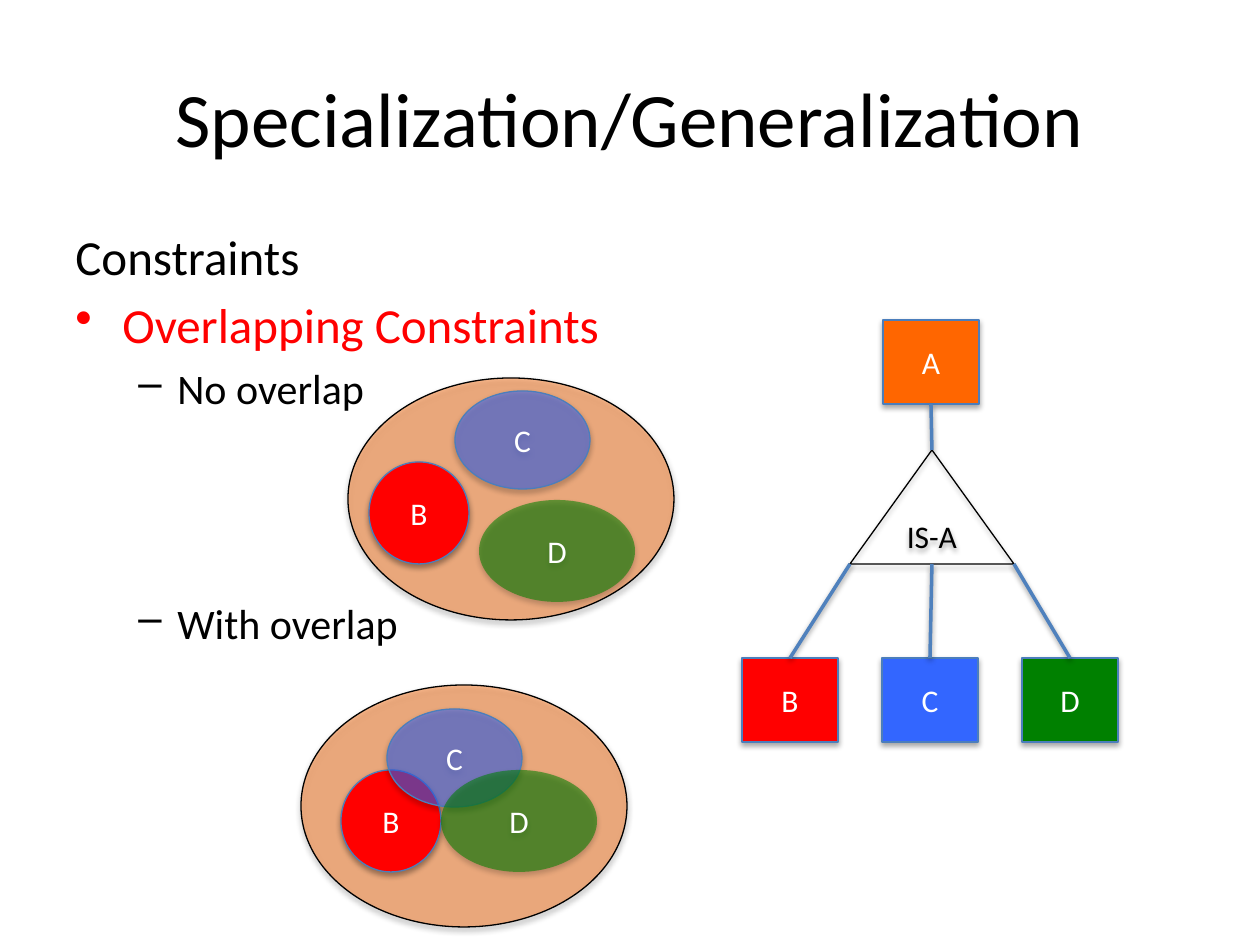
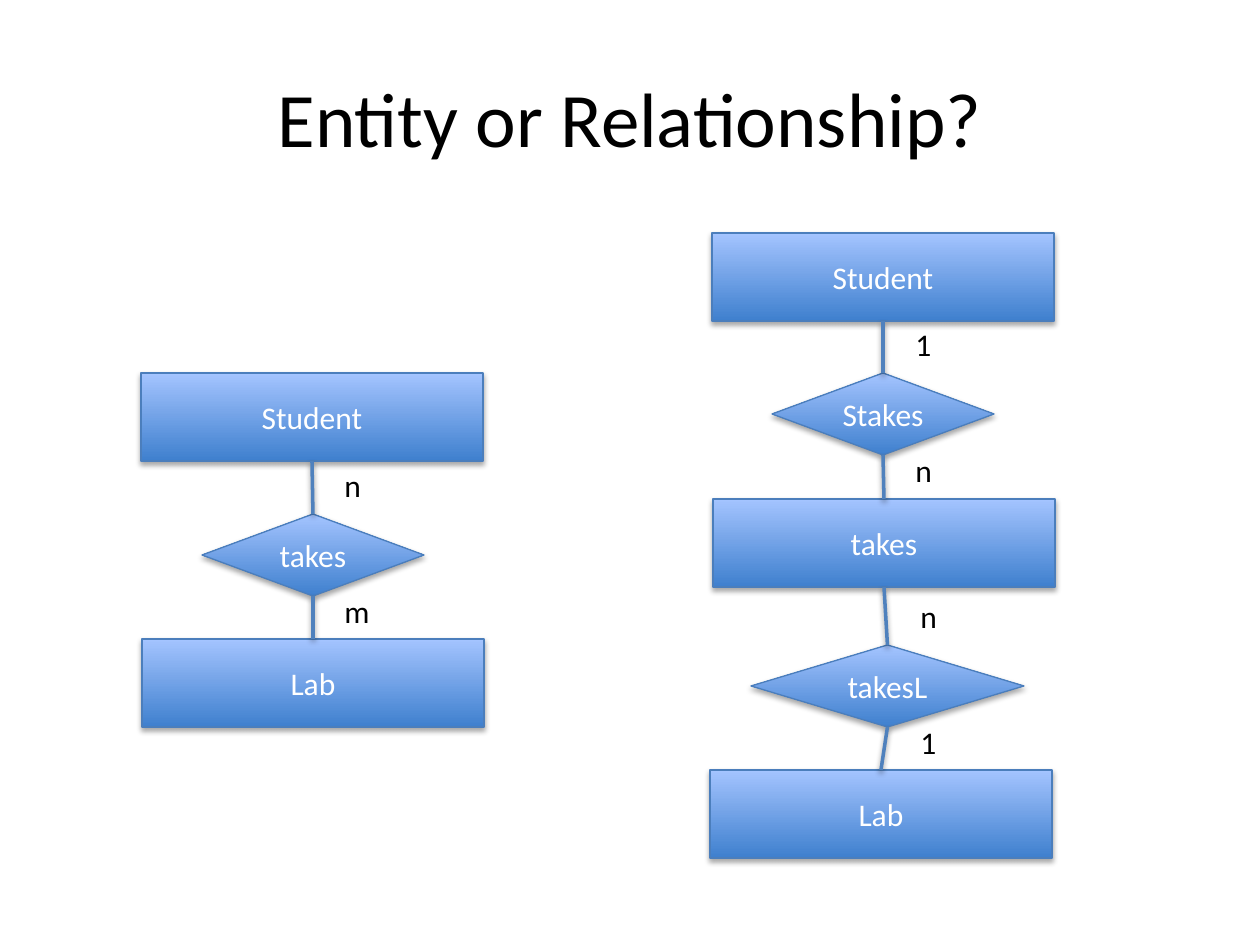
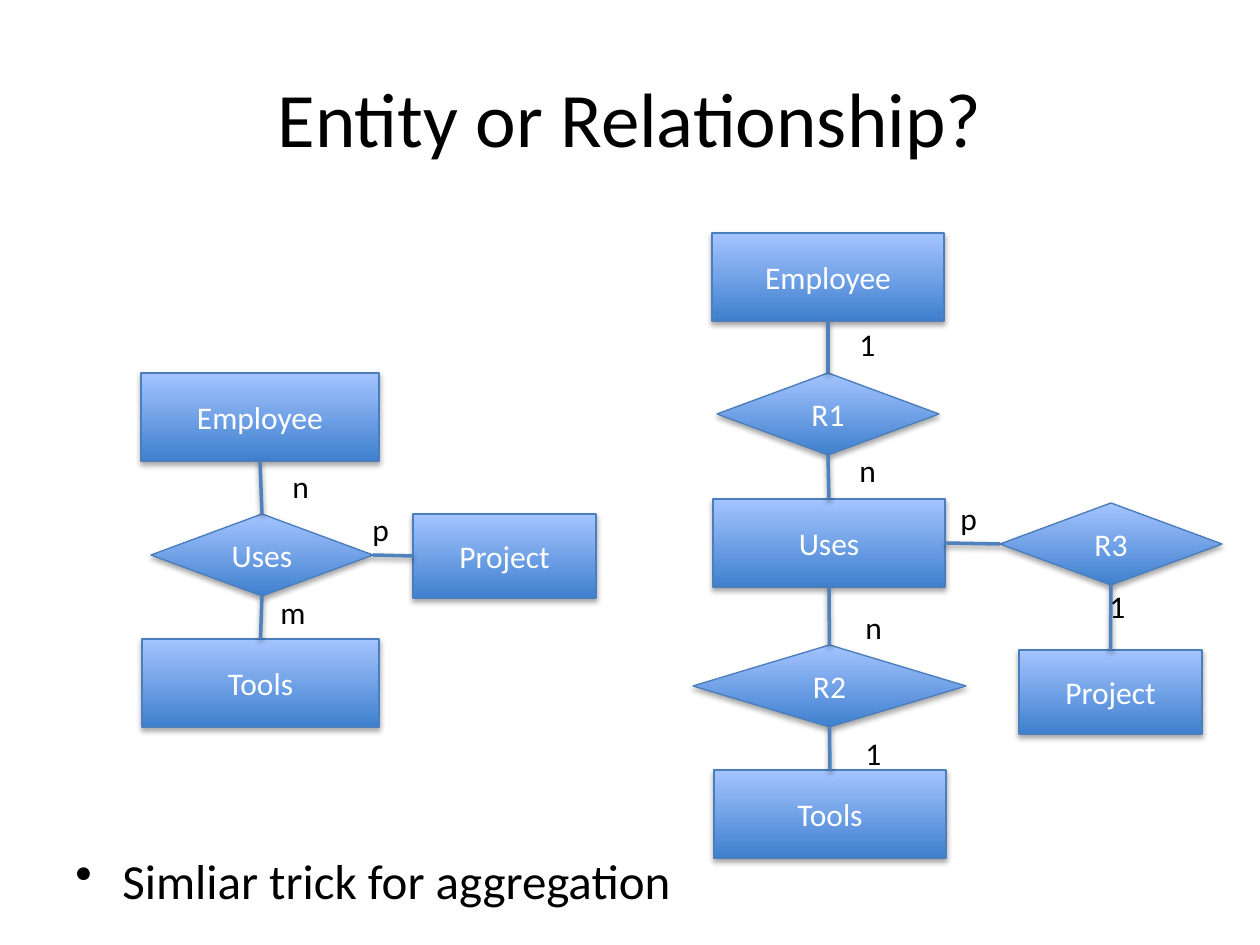
from dataclasses import dataclass
from itertools import pairwise

from lxml import etree
from pptx import Presentation
from pptx import util as u
from pptx.dml.color import RGBColor
from pptx.enum import shapes, text
from pptx.oxml import ns

KIND = shapes.MSO_SHAPE
TOP, LEFT, BOTTOM, RIGHT = range(4)


@dataclass(frozen=True)
class Theme:
    """Hold the colours, font and type sizes of the deck."""
    font: str = "Calibri"
    title: int = 44
    body: int = 28
    detail: int = 24
    label: int = 18
    ink: str = "000000"
    paper: str = "FFFFFF"
    accent: str = "FF0000"
    border: str = "4B7EBC"
    link: str = "4F81BD"
    gradient: tuple = ("3F80CE", "A4C4FF")
    orange: str = "FF6600"
    red: str = "FF0000"
    blue: str = "3366FF"
    green: str = "008000"


THEME = Theme()


def px(length):
    """Turn px into EMU."""
    return u.Emu(round(length * 914400 / 126))


def rgb(code):
    """Turn a hex code into a colour."""
    return RGBColor.from_string(code)


def element(parent, tag, **attributes):
    """Add a drawing element to a parent."""
    names = {key: str(value) for key, value in attributes.items()}
    return etree.SubElement(parent, ns.qn(tag), names)


def add_shadow(item, distance, opacity):
    """Give a shape or connector a soft shadow below it."""
    effects = element(item._element.spPr, "a:effectLst")
    shadow = element(effects, "a:outerShdw", blurRad=40000, dist=distance,
                     dir=5400000, rotWithShape=0)
    colour = element(shadow, "a:srgbClr", val=THEME.ink)
    element(colour, "a:alpha", val=opacity * 1000)


def add_text(para, words, size=THEME.label, color=THEME.ink, align=None,
             bullet=None, margin=0, hanging=0, before=0):
    """Write formatted words into a paragraph."""
    if bullet:
        settings = para._p.get_or_add_pPr()
        settings.set("marL", str(px(margin)))
        settings.set("indent", str(-px(hanging)))
        element(settings, "a:buChar", char=bullet)
    para.alignment = align
    para.space_before = u.Pt(before)
    span = para.add_run()
    span.text = words
    span.font.name = THEME.font
    span.font.size = u.Pt(size)
    span.font.color.rgb = rgb(color)


def add_box(page, x, y, width, height, lines, anchor=text.MSO_ANCHOR.TOP):
    """Add a wrapping text box with one paragraph per line."""
    box = page.shapes.add_textbox(px(x), px(y), px(width), px(height))
    frame = box.text_frame
    frame.word_wrap = True
    frame.vertical_anchor = anchor
    for index, (words, style) in enumerate(lines):
        para = frame.add_paragraph() if index else frame.paragraphs[0]
        add_text(para, words, **style)


def add_labels(page, labels):
    """Add small labels at their places."""
    for words, x, y in labels:
        add_box(page, x, y, 60, 50, [(words, {})])


def add_page(deck, title):
    """Add a blank slide with a centred title."""
    page = deck.slides.add_slide(deck.slide_layouts[6])
    style = {"size": THEME.title, "align": text.PP_ALIGN.CENTER}
    add_box(page, 63, 38, 1134, 157, [(title, style)], text.MSO_ANCHOR.MIDDLE)
    return page


def paint(fill, color, opacity):
    """Fill with one colour, or with the shared gradient if none is given."""
    if color is None:
        fill.gradient()
        fill.gradient_angle = 90
        for stop, code in zip(fill.gradient_stops, THEME.gradient):
            stop.color.rgb = rgb(code)
        return
    fill.solid()
    fill.fore_color.rgb = rgb(color)
    if opacity < 100:
        colour = fill._xPr.find(".//" + ns.qn("a:srgbClr"))
        element(colour, "a:alpha", val=opacity * 1000)


def add_node(page, kind, words, x, y, width, height, color=None, opacity=100,
             border=THEME.border, ink=THEME.paper, hollow=False):
    """Add a shadowed shape with a centred label."""
    node = page.shapes.add_shape(kind, px(x), px(y), px(width), px(height))
    if hollow:
        node.fill.background()
    else:
        paint(node.fill, color, opacity)
    if border:
        node.line.color.rgb = rgb(border)
        node.line.width = u.Pt(0.75)
    else:
        node.line.fill.background()
    add_shadow(node, 23000, 35)
    frame = node.text_frame
    frame.vertical_anchor = text.MSO_ANCHOR.MIDDLE
    if words:
        add_text(frame.paragraphs[0], words, color=ink,
                 align=text.PP_ALIGN.CENTER)
    return node


def add_entity(page, words, x, y, width, height=88):
    """Add an entity rectangle."""
    return add_node(page, KIND.RECTANGLE, words, x, y, width, height)


def add_relation(page, words, x, y, width=222):
    """Add a relationship diamond."""
    return add_node(page, KIND.DIAMOND, words, x, y, width, 82)


def add_link(page, target, target_side, source=None, source_side=None,
             point=(0, 0)):
    """Link a point or the side of a source to the side of a target."""
    x, y = map(px, point)
    link = page.shapes.add_connector(shapes.MSO_CONNECTOR.STRAIGHT, x, y, x, y)
    if source is not None:
        link.begin_connect(source, source_side)
    link.end_connect(target, target_side)
    link.line.color.rgb = rgb(THEME.link)
    link.line.width = u.Pt(2)
    add_shadow(link, 20000, 38)


def add_chain(page, nodes):
    """Link each node to the next one below it."""
    for upper, lower in pairwise(nodes):
        add_link(page, lower, TOP, upper, BOTTOM)


def add_venn(page, outer, b, c, d):
    """Add three sets inside an enclosing set, each at its left and top."""
    add_node(page, KIND.OVAL, "", *outer, 326, 242, THEME.orange, 43, THEME.ink)
    add_node(page, KIND.OVAL, "B", *b, 100, 102, THEME.red)
    add_node(page, KIND.OVAL, "C", *c, 135, 98, THEME.blue, 54)
    add_node(page, KIND.OVAL, "D", *d, 156, 102, THEME.green, 56, None)


def add_hierarchy(page):
    """Add the parent, the IS-A triangle and its three children."""
    triangle = add_node(page, KIND.ISOSCELES_TRIANGLE, "IS-A", 850, 450, 164,
                        114, border=THEME.ink, ink=THEME.ink, hollow=True)
    parent = add_node(page, KIND.RECTANGLE, "A", 883, 320, 96, 84, THEME.orange)
    add_link(page, triangle, TOP, parent, BOTTOM)
    children = zip("BCD", (THEME.red, THEME.blue, THEME.green))
    for index, (words, color) in enumerate(children):
        child = add_node(page, KIND.RECTANGLE, words, 742 + 140 * index, 658,
                         96, 84, color)
        add_link(page, child, TOP, point=(850 + 82 * index, 564))


def bullet_style(**changes):
    """Return the format of a main bullet."""
    return {"size": THEME.body, "bullet": "•", "margin": 47, "hanging": 47,
            **changes}


def add_constraints(deck):
    """Build the slide on overlapping constraints."""
    page = add_page(deck, "Specialization/Generalization")
    dash = {"size": THEME.detail, "bullet": "–", "margin": 102, "hanging": 39}
    add_box(page, 63, 220, 600, 624, [
        ("Constraints", {"size": THEME.body}),
        ("Overlapping Constraints", bullet_style(color=THEME.accent, before=5.6)),
        ("No overlap", {**dash, "before": 4.8}),
        ("With overlap", {**dash, "before": 105.6}),
    ])
    add_hierarchy(page)
    add_venn(page, (301, 685), (341, 770), (387, 709), (441, 770))
    add_venn(page, (348, 378), (369, 462), (455, 391), (479, 500))


def add_binary(deck):
    """Build the slide that turns a binary relationship into an entity."""
    page = add_page(deck, "Entity or Relationship?")
    add_chain(page, [
        add_entity(page, "Student", 712, 233, 342),
        add_relation(page, "Stakes", 772, 373),
        add_entity(page, "takes", 713, 499, 342),
        add_relation(page, "takesL", 751, 645, 273),
        add_entity(page, "Lab", 710, 770, 342),
    ])
    add_chain(page, [
        add_entity(page, "Student", 141, 373, 342),
        add_relation(page, "takes", 202, 514),
        add_entity(page, "Lab", 142, 639, 342),
    ])
    add_labels(page, [
        ("1", 903, 319), ("n", 903, 445), ("n", 908, 591), ("1", 908, 717),
        ("n", 332, 460), ("m", 332, 586),
    ])


def add_ternary(deck):
    """Build the slide that turns a ternary relationship into an entity."""
    page = add_page(deck, "Entity or Relationship?")
    add_box(page, 63, 844, 790, 96,
            [("Simliar trick for aggregation", bullet_style())])
    uses = add_entity(page, "Uses", 713, 499, 232)
    add_chain(page, [
        add_entity(page, "Employee", 712, 233, 232),
        add_relation(page, "R1", 717, 373),
        uses,
        add_relation(page, "R2", 693, 645, 273),
        add_entity(page, "Tools", 714, 770, 232),
    ])
    relation = add_relation(page, "R3", 1000, 503)
    add_link(page, uses, RIGHT, relation, LEFT)
    add_chain(page, [relation, add_entity(page, "Project", 1019, 650, 183, 84)])

    uses = add_relation(page, "Uses", 151, 514)
    add_chain(page, [
        add_entity(page, "Employee", 141, 373, 238),
        uses,
        add_entity(page, "Tools", 142, 639, 237),
    ])
    project = add_entity(page, "Project", 413, 514, 183, 84)
    add_link(page, uses, RIGHT, project, LEFT)
    add_labels(page, [
        ("1", 847, 319), ("n", 847, 445), ("n", 853, 602), ("1", 853, 728),
        ("n", 280, 461), ("m", 268, 587), ("p", 360, 504), ("p", 948, 493),
        ("1", 1097, 581),
    ])


def main():
    """Build and save the deck."""
    deck = Presentation()
    deck.slide_width, deck.slide_height = px(1260), px(945)
    add_constraints(deck)
    add_binary(deck)
    add_ternary(deck)
    deck.save("out.pptx")


if __name__ == "__main__":
    main()
